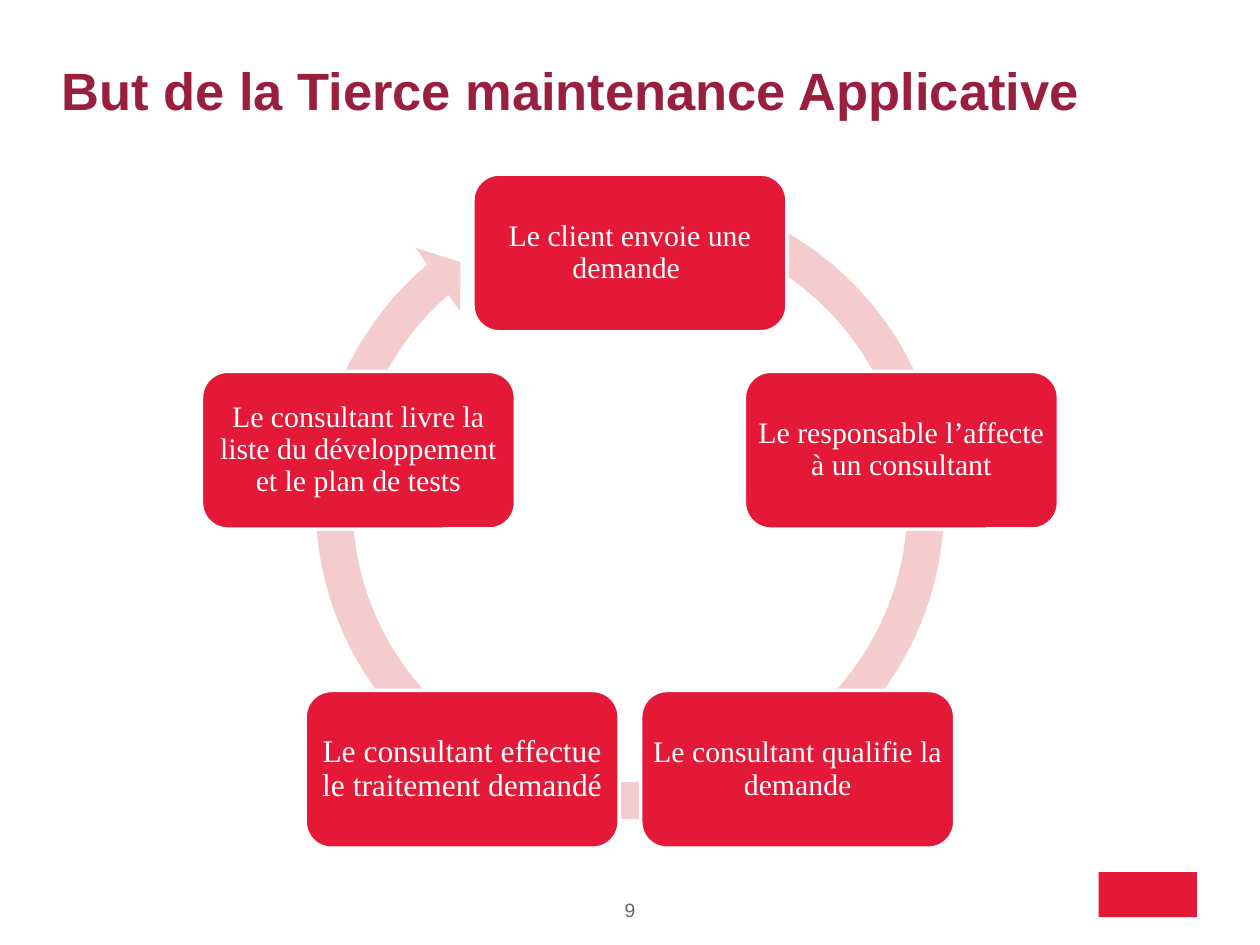
from math import cos, radians, sin

from pptx import Presentation
from pptx.dml.color import RGBColor
from pptx.enum.shapes import MSO_SHAPE as Shape
from pptx.enum.text import MSO_ANCHOR as Anchor, PP_ALIGN as Align
from pptx.util import Cm, Pt

WINE = RGBColor(0x99, 0x1F, 0x3D)
RED = RGBColor(0xE3, 0x19, 0x37)
PINK = RGBColor(0xF4, 0xCC, 0xCE)
GREY = RGBColor(0x66, 0x66, 0x66)
WHITE = RGBColor(0xFF, 0xFF, 0xFF)

# Steps in clockwise order from the top, with text size
STEPS = [
    ("Le client envoie une demande ", 17),
    ("Le responsable l’affecte à un consultant", 17),
    ("Le consultant qualifie la demande", 17),
    ("Le consultant effectue le traitement demandé", 18),
    ("Le consultant livre la liste du développement et le plan de tests", 17),
]


def write(frame, text, size, font, color, align, bold=False, inset=0):
    """Put one formatted run into a text frame."""
    frame.margin_left = frame.margin_right = Cm(inset)
    frame.margin_top = frame.margin_bottom = Cm(inset)
    para = frame.paragraphs[0]
    para.alignment = align
    run = para.add_run()
    run.text = text
    run.font.size = Pt(size)
    run.font.name = font
    run.font.bold = bold
    run.font.color.rgb = color
    return para


def add_form(slide, kind, x, y, w, h, fill):
    """Add a flat shape without an outline."""
    form = slide.shapes.add_shape(kind, Cm(x), Cm(y), Cm(w), Cm(h))
    form.shadow.inherit = False
    form.fill.solid()
    form.fill.fore_color.rgb = fill
    form.line.fill.background()
    return form


def add_title(slide, x, y, w, h):
    title = slide.shapes.title
    title.left, title.top, title.width, title.height = Cm(x), Cm(y), Cm(w), Cm(h)
    frame = title.text_frame
    frame.vertical_anchor = Anchor.MIDDLE
    write(frame, "But de la Tierce maintenance Applicative",
          30, "Arial", WINE, Align.LEFT, bold=True)


def add_step(slide, x, y, w, h, text, size):
    box = add_form(slide, Shape.ROUNDED_RECTANGLE, x, y, w, h, RED)
    box.line.color.rgb = WHITE
    box.line.width = Pt(2)
    frame = box.text_frame
    frame.word_wrap = True
    frame.vertical_anchor = Anchor.MIDDLE
    para = write(frame, text, size, "Times New Roman", WHITE, Align.CENTER, inset=0.03)
    para.line_spacing = 0.9


def add_cycle(slide, x, y, w, h):
    """Place the steps on a regular pentagon over a ring arrow."""
    step_w, step_h, ring = 6.33, 3.18, 13.49
    radius = (h - step_h) / (1 + cos(radians(36)))
    mid_x, mid_y = x + w / 2, y + step_h / 2 + radius

    # Ring arrow: thickness, head angle, end, start, head width
    arrow = add_form(slide, Shape.CIRCULAR_ARROW, mid_x - ring / 2, y - 0.08,
                     ring, ring, PINK)
    degree = 0.6  # adjustment units in one degree
    values = (5.5 / 100, 5.51 * degree, 229.52 * degree, 289.82 * degree, 5.8 / 100)
    for i, value in enumerate(values):
        arrow.adjustments[i] = value

    # Steps
    for i, (text, size) in enumerate(STEPS):
        angle = radians(i * 360 / len(STEPS))
        add_step(slide, mid_x + radius * sin(angle) - step_w / 2,
                 mid_y - radius * cos(angle) - step_h / 2,
                 step_w, step_h, text, size)


def add_footer(slide, x, y, w, h):
    # Page number
    box = slide.shapes.add_textbox(Cm(x + w / 2 - 1.08), Cm(y + 0.53), Cm(2.16), Cm(0.66))
    write(box.text_frame, "9", 11, "Arial", GREY, Align.CENTER)
    # Plain brand block
    add_form(slide, Shape.RECTANGLE, x + w - 1.98, y, 1.98, h, RED)


def main():
    deck = Presentation()
    deck.slide_width, deck.slide_height = Cm(25.4), Cm(19.05)
    slide = deck.slides.add_slide(deck.slide_layouts[5])
    add_title(slide, 1.24, 0.51, 22.89, 2.57)
    add_cycle(slide, 4.06, 3.51, 17.28, 13.59)
    add_footer(slide, 1.27, 17.58, 22.86, 0.91)
    deck.save("out.pptx")


if __name__ == "__main__":
    main()
